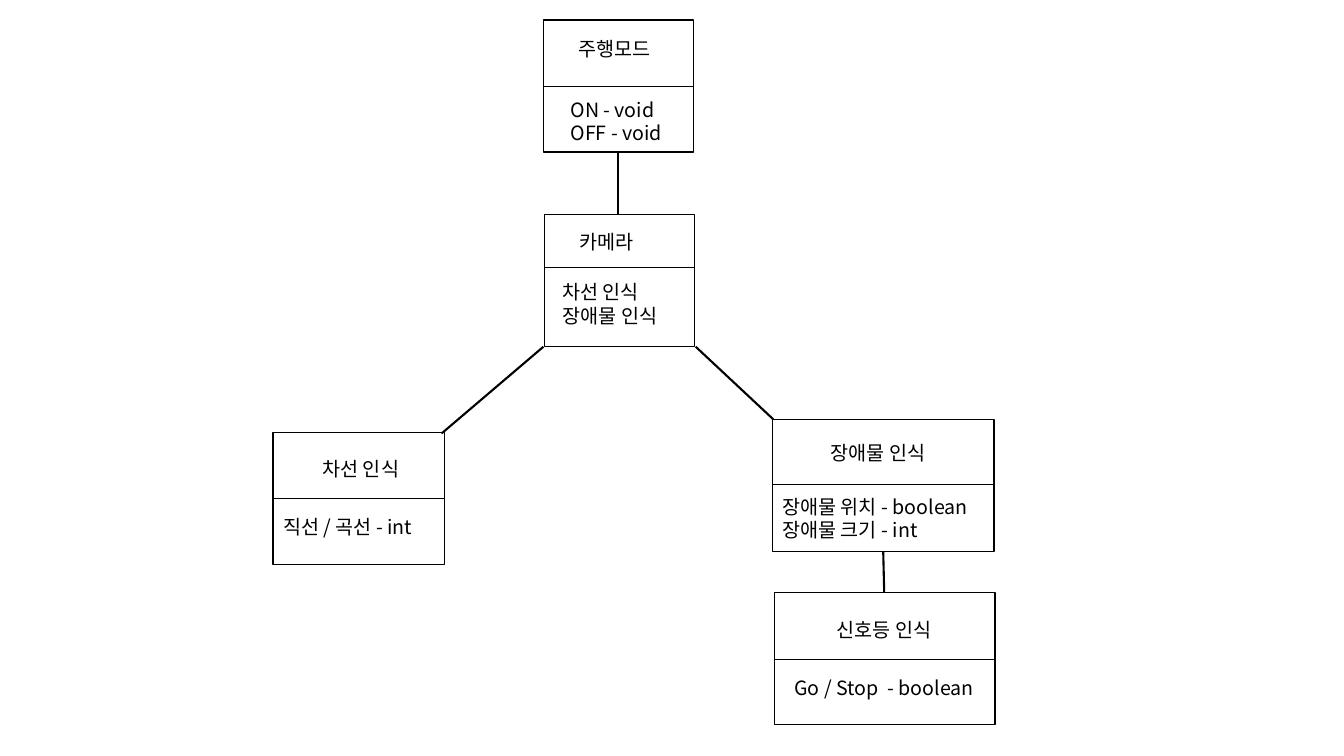
from lxml import etree
from pptx import Presentation
from pptx.dml.color import RGBColor
from pptx.enum.shapes import MSO_CONNECTOR, MSO_SHAPE
from pptx.enum.text import MSO_AUTO_SIZE
from pptx.oxml.ns import qn
from pptx.util import Inches, Pt

BLACK = RGBColor(0x00, 0x00, 0x00)
WHITE = RGBColor(0xFF, 0xFF, 0xFF)
PROCESS = MSO_SHAPE.FLOWCHART_PROCESS
STRAIGHT = MSO_CONNECTOR.STRAIGHT
FIT = MSO_AUTO_SIZE.SHAPE_TO_FIT_TEXT
BOX_HEIGHT = 1.31


class Diagram:
    font = "Noto Sans CJK KR"
    text_format = {"name": font, "size": Pt(14)}

    def __init__(self, slide):
        self.slide = slide

    def box(self, x, y, w):
        sp = self.slide.shapes.add_shape(
            PROCESS, Inches(x), Inches(y), Inches(w), Inches(BOX_HEIGHT))
        sp.shadow.inherit = False
        sp.fill.solid()
        sp.fill.fore_color.rgb = WHITE
        sp.line.color.rgb = BLACK
        sp.line.width = Pt(1)

    def line(self, start, end, width=1.5):
        cx = self.slide.shapes.add_connector(
            STRAIGHT, *(Inches(v) for v in (*start, *end)))
        cx.line.color.rgb = BLACK
        cx.line.width = Pt(width)
        etree.SubElement(cx._element.spPr, qn("a:effectLst"))

    def text(self, x, y, w, lines, wrap):
        height = 0.34 + 0.23 * (len(lines) - 1)
        tb = self.slide.shapes.add_textbox(
            Inches(x), Inches(y), Inches(w), Inches(height))
        tf = tb.text_frame
        tf.word_wrap = wrap
        tf.auto_size = FIT
        for i, line in enumerate(lines):
            p = tf.paragraphs[0] if i == 0 else tf.add_paragraph()
            r = p.add_run()
            r.text = line
            for key, value in self.text_format.items():
                setattr(r.font, key, value)
            r.font.color.rgb = BLACK
            ea = etree.SubElement(r._r.get_or_add_rPr(), qn("a:ea"))
            ea.set("typeface", self.font)

    def class_box(self, x, y, w, divider, title, members, wrap=False):
        self.box(x, y, w)
        self.line((x, divider), (x + w, divider), 0.5)
        self.text(*title, wrap)
        self.text(*members, wrap)


prs = Presentation()
prs.slide_width, prs.slide_height = Inches(13.33), Inches(7.5)
diagram = Diagram(prs.slides.add_slide(prs.slide_layouts[6]))

classes = [
    (5.39, 0.2, 1.49, 0.86,
     (5.64, 0.32, 0.99, ["주행모드"]),
     (5.56, 0.92, 1.15, ["ON - void", "OFF - void"])),
    (5.4, 2.13, 1.49, 2.65,
     (5.65, 2.23, 0.96, ["카메라"]),
     (5.48, 2.73, 1.32, ["차선 인식", "장애물 인식"]), True),
    (2.71, 4.29, 1.7, 4.94,
     (3.1, 4.48, 1.61, ["차선 인식"]),
     (2.71, 5.06, 1.78, ["직선 / 곡선 - int"]), True),
    (7.66, 4.16, 2.2, 4.81,
     (8.14, 4.33, 1.25, ["장애물 인식"]),
     (7.66, 4.86, 2.19, ["장애물 위치 - boolean", "장애물 크기 - int"])),
    (7.68, 5.88, 2.19, 6.54,
     (8.2, 6.08, 1.25, ["신호등 인식"]),
     (7.78, 6.66, 2.08, ["Go / Stop  - boolean"])),
]
for item in classes:
    diagram.class_box(*item)

links = [
    ((6.13, 1.51), (6.13, 2.13)),
    ((5.39, 3.44), (4.38, 4.3)),
    ((6.9, 3.44), (7.67, 4.16)),
    ((8.76, 5.47), (8.77, 5.88)),
]
for start, end in links:
    diagram.line(start, end)

prs.save("out.pptx")
